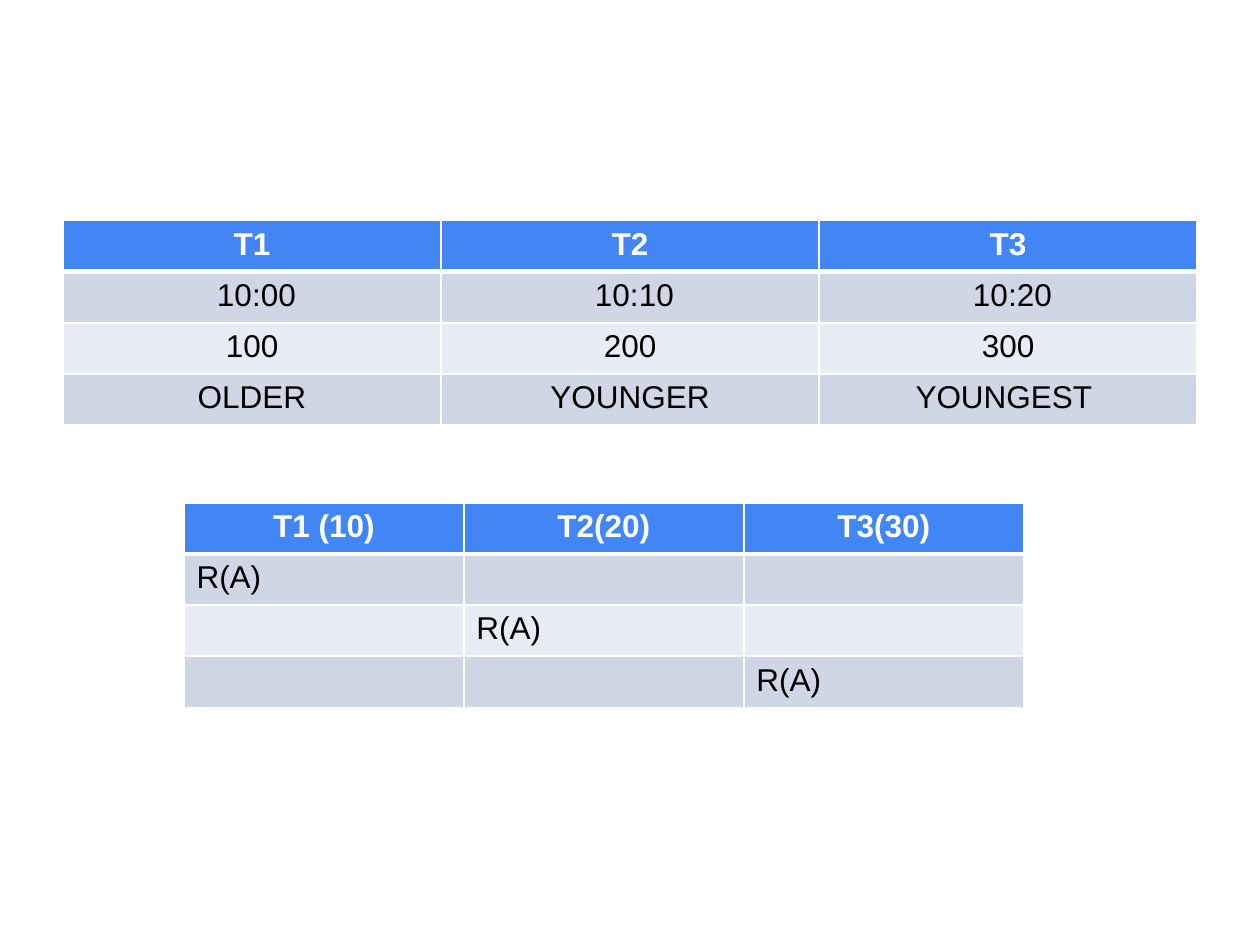
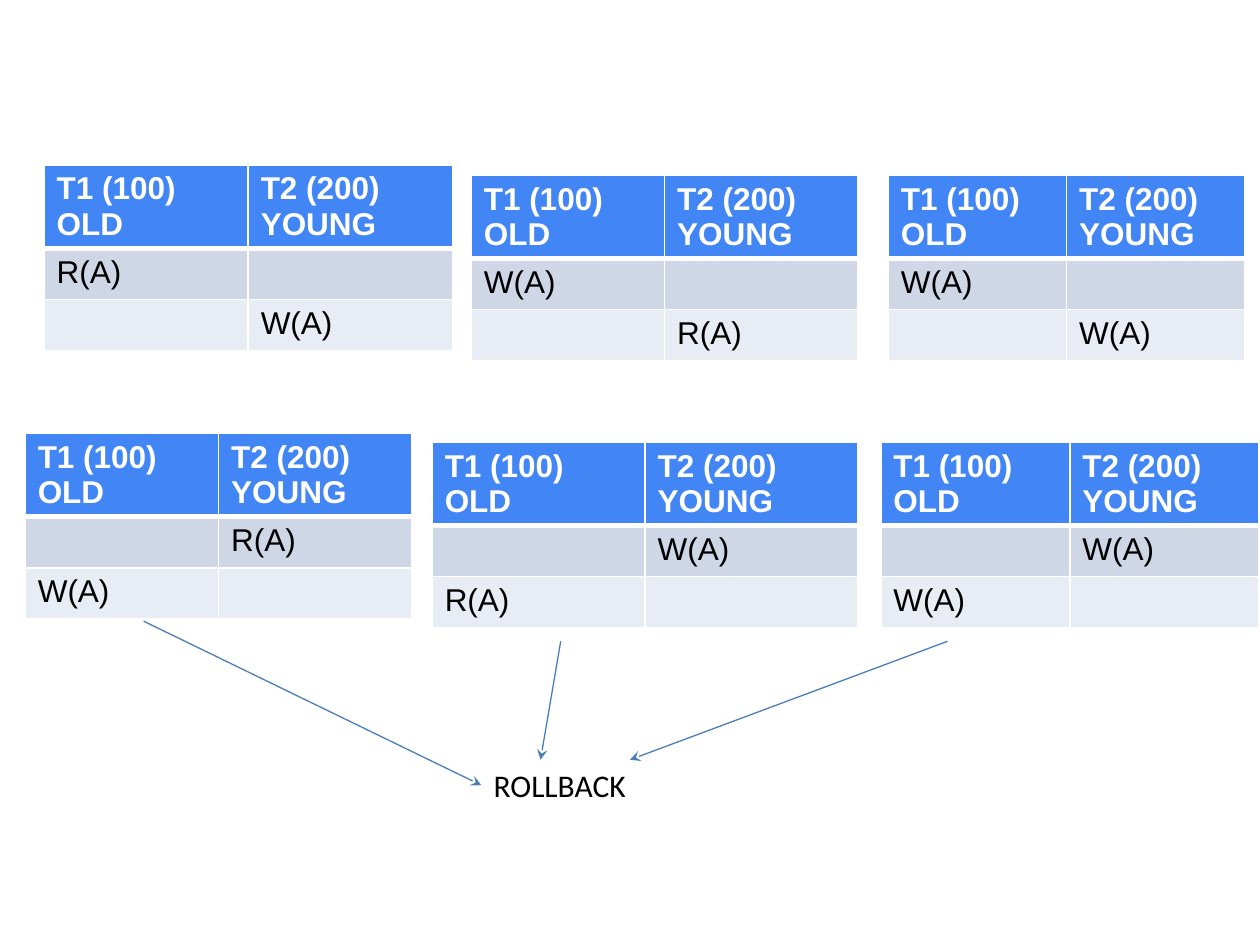
from lxml.etree import SubElement
from pptx import Presentation
from pptx.dml.color import RGBColor
from pptx.enum.shapes import MSO_CONNECTOR
from pptx.enum.text import MSO_AUTO_SIZE, PP_ALIGN
from pptx.oxml.ns import qn
from pptx.util import Inches, Pt

COLS, ROWS = 100, 75
BLANK_LAYOUT = 6


def color(value):
    return RGBColor.from_string(value)


class Deck:
    header, bands = "4285F4", ("CFD7E7", "E8ECF4")
    light, dark, arrow_line = "FFFFFF", "000000", "4A7DBA"
    table_font, label_font, text_size = "Arial", "Calibri", 18
    row_height = 4.06
    thin, thick = 1, 3

    def __init__(self):
        self.prs = Presentation()
        self.prs.slide_width, self.prs.slide_height = Inches(10), Inches(7.5)
        self.s = None

    def slide(self):
        self.s = self.prs.slides.add_slide(self.prs.slide_layouts[BLANK_LAYOUT])

    def x(self, cols):
        return round(self.prs.slide_width * cols / COLS)

    def y(self, rows):
        return round(self.prs.slide_height * rows / ROWS)

    def add_text(self, p, text, font, ink, bold=False, align=PP_ALIGN.LEFT):
        p.alignment = align
        r = p.add_run()
        r.text = text
        r.font.name, r.font.size, r.font.bold = font, Pt(self.text_size), bold
        r.font.color.rgb = color(ink)

    def border(self, cell, side, width):
        ln = SubElement(cell._tc.get_or_add_tcPr(), qn(f"a:ln{side}"), w=str(Pt(width)))
        fill = SubElement(ln, qn("a:solidFill"))
        SubElement(fill, qn("a:srgbClr"), val=self.light)

    def table(self, col, row, col_width, lines, centered_rows=0):
        n_rows, n_cols = len(lines), len(lines[0])
        frame = self.s.shapes.add_table(
            n_rows, n_cols, self.x(col), self.y(row),
            self.x(col_width * n_cols), self.y(self.row_height * n_rows))
        for i, line in enumerate(lines):
            frame.table.rows[i].height = self.y(self.row_height)
            for j, text in enumerate(line):
                self.cell(frame.table.cell(i, j), i, text, i < centered_rows)

    def cell(self, cell, i, text, centered):
        is_header = i == 0
        top = self.thick if i == 1 else self.thin
        bottom = self.thick if is_header else self.thin
        for side, width in zip("LRTB", (self.thin, self.thin, top, bottom)):
            self.border(cell, side, width)
        cell.fill.solid()
        cell.fill.fore_color.rgb = color(self.header if is_header else self.bands[(i - 1) % 2])
        tf = cell.text_frame
        for k, part in enumerate(text.split("\n") if text else []):
            p = tf.add_paragraph() if k else tf.paragraphs[0]
            self.add_text(p, part, self.table_font, self.light if is_header else self.dark,
                          is_header, PP_ALIGN.CENTER if centered else PP_ALIGN.LEFT)

    def label(self, col, row, width, height, text):
        sp = self.s.shapes.add_textbox(self.x(col), self.y(row), self.x(width), self.y(height))
        tf = sp.text_frame
        tf.word_wrap = True
        tf.auto_size = MSO_AUTO_SIZE.SHAPE_TO_FIT_TEXT
        self.add_text(tf.paragraphs[0], text, self.label_font, self.dark)
        return sp

    def arrow(self, start, end):
        c = self.s.shapes.add_connector(
            MSO_CONNECTOR.STRAIGHT, self.x(start[0]), self.y(start[1]),
            self.x(end[0]), self.y(end[1]))
        c.line.color.rgb = color(self.arrow_line)
        c.line.width = Pt(0.75)
        ln = c._element.spPr.find(qn("a:ln"))
        SubElement(ln, qn("a:tailEnd"), type="stealth")
        SubElement(c._element.spPr, qn("a:effectLst"))
        return c


def timestamps_slide(deck):
    deck.slide()
    deck.table(5, 17.5, 30, [
        ("T1", "T2", "T3"),
        (" 10:00", " 10:10", " 10:20"),
        ("100", "200", "300"),
        ("OLDER", "YOUNGER", "YOUNGEST "),
    ], centered_rows=4)
    reads = [["R(A)" if i == j else "" for j in range(3)] for i in range(3)]
    deck.table(14.6, 39.9, 22.22, [("T1 (10)", "T2(20)", "T3(30)"), *reads], centered_rows=1)


def conflicts_slide(deck):
    deck.slide()
    header = ("T1 (100)\nOLD", "T2 (200)\nYOUNG")
    old_first = [
        (3.5, 13.1, 16.2, "R(A)", "W(A)"),
        (37.4, 13.9, 15.35, "W(A)", "R(A)"),
        (70.5, 13.9, 14.15, "W(A)", "W(A)"),
    ]
    young_first = [
        (2, 34.4, 15.35, "R(A)", "W(A)"),
        (34.3, 35.1, 16.9, "W(A)", "R(A)"),
        (69.9, 35.1, 15, "W(A)", "W(A)"),
    ]
    for col, row, width, first, second in old_first:
        deck.table(col, row, width, [header, (first, ""), ("", second)])
    for col, row, width, first, second in young_first:
        deck.table(col, row, width, [header, ("", first), (second, "")])

    rollback = deck.label(38.2, 60.3, 19.7, 4.04, "ROLLBACK")
    deck.arrow((11.4, 49.3), (38.2, 62.4)).end_connect(rollback, 1)
    deck.arrow((44.5, 50.9), (42.9, 60.3))
    deck.arrow((75.2, 50.9), (50, 60.3))


def main():
    deck = Deck()
    timestamps_slide(deck)
    conflicts_slide(deck)
    deck.prs.save("out.pptx")


if __name__ == "__main__":
    main()
